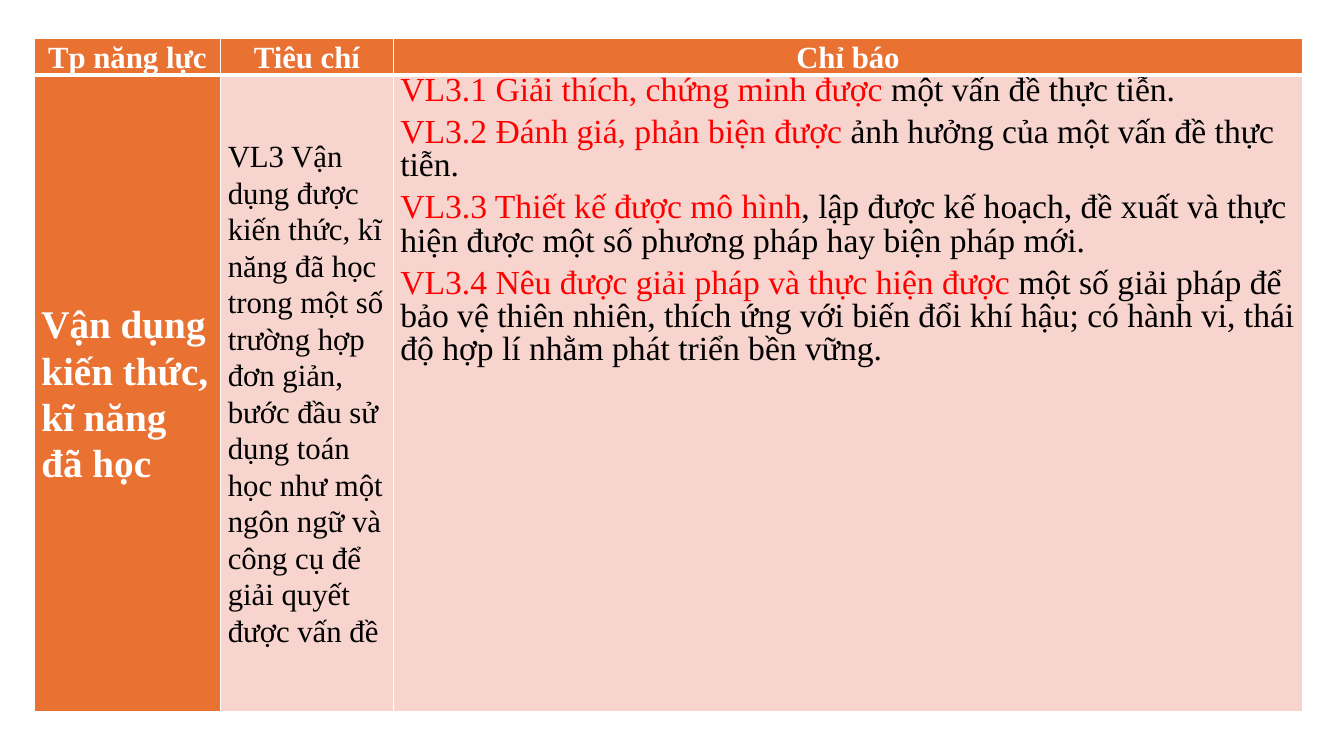
from dataclasses import dataclass

from lxml import etree
from pptx import Presentation
from pptx.dml.color import RGBColor
from pptx.enum.text import MSO_ANCHOR, PP_ALIGN
from pptx.oxml.ns import qn
from pptx.util import Cm, Pt

CENTER, LEFT = PP_ALIGN.CENTER, PP_ALIGN.LEFT
TOP, MIDDLE = MSO_ANCHOR.TOP, MSO_ANCHOR.MIDDLE
BLANK_LAYOUT = 6


@dataclass(frozen=True)
class Theme:
    font: str = "Times New Roman"
    orange: str = "E97132"
    pink: str = "F7D5CE"
    white: str = "FFFFFF"
    black: str = "000000"
    red: str = "FF0000"
    body: int = 22
    indicator: int = 24
    component: int = 28
    thin_line: int = 1
    header_line: int = 3


THEME = Theme()


def add_borders(cell, widths):
    """Draw white cell edges; widths maps an edge tag to points."""
    properties = cell._tc.get_or_add_tcPr()
    for edge, width in widths.items():
        line = etree.SubElement(properties, qn(f"a:{edge}"), w=str(Pt(width)))
        fill = etree.SubElement(line, qn("a:solidFill"))
        etree.SubElement(fill, qn("a:srgbClr"), val=THEME.white)


def fill_cell(cell, paragraphs, fill, size, bold=False, align=LEFT,
              anchor=TOP, line_spacing=1.07, space_after=8):
    """Format a cell; each paragraph is a list of (text, colour) pairs."""
    cell.fill.solid()
    cell.fill.fore_color.rgb = RGBColor.from_string(fill)
    cell_format = {
        "margin_left": Cm(0.18), "margin_right": Cm(0.18),
        "margin_top": 0, "margin_bottom": 0, "vertical_anchor": anchor,
    }
    for name, value in cell_format.items():
        setattr(cell, name, value)
    frame = cell.text_frame
    for index, spans in enumerate(paragraphs):
        para = frame.add_paragraph() if index else frame.paragraphs[0]
        para.alignment = align
        para.line_spacing = line_spacing
        para.space_after = Pt(space_after)
        for text, color in spans:
            span = para.add_run()
            span.text = text
            for name, value in {"name": THEME.font, "size": Pt(size), "bold": bold}.items():
                setattr(span.font, name, value)
            span.font.color.rgb = RGBColor.from_string(color)


deck = Presentation()
deck.slide_width, deck.slide_height = Cm(33.87), Cm(19.05)
page = deck.slides.add_slide(deck.slide_layouts[BLANK_LAYOUT])

column_widths = [4.7, 4.35, 22.92]
row_heights = [0.71, 16.05]
table = page.shapes.add_table(
    len(row_heights), len(column_widths), Cm(0.86), Cm(0.97),
    Cm(sum(column_widths)), Cm(sum(row_heights))).table
for column, width in zip(table.columns, column_widths):
    column.width = Cm(width)
for row, height in zip(table.rows, row_heights):
    row.height = Cm(height)

# The edge between the header and the body is thicker than the others.
for row_index, thick_edge in enumerate(["lnB", "lnT"]):
    for cell in table.rows[row_index].cells:
        add_borders(cell, {
            edge: THEME.header_line if edge == thick_edge else THEME.thin_line
            for edge in ("lnL", "lnR", "lnT", "lnB")})

headings = ["Tp năng lực", "Tiêu chí", "Chỉ báo"]
for cell, heading in zip(table.rows[0].cells, headings):
    fill_cell(cell, [[(heading, THEME.white)]], THEME.orange, THEME.body,
              bold=True, align=CENTER)

component, criterion, indicators = table.rows[1].cells
fill_cell(component, [[("Vận dụng kiến thức, kĩ năng đã học", THEME.white)]],
          THEME.orange, THEME.component, bold=True, anchor=MIDDLE)

criterion_text = (
    "VL3 Vận dụng được kiến thức, kĩ năng đã học trong một số trường hợp "
    "đơn giản, bước đầu sử dụng toán học như một ngôn ngữ và công cụ để "
    "giải quyết được vấn đề")
fill_cell(criterion, [[(criterion_text, THEME.black)]], THEME.pink, THEME.body,
          anchor=MIDDLE)

indicator_texts = [
    ("VL3.1 Giải thích, chứng minh được ", "một vấn đề thực tiễn."),
    ("VL3.2 Đánh giá, phản biện được ", "ảnh hưởng của một vấn đề thực tiễn."),
    ("VL3.3 Thiết kế được mô hình",
     ", lập được kế hoạch, đề xuất và thực hiện được một số phương pháp "
     "hay biện pháp mới."),
    ("VL3.4 Nêu được giải pháp và thực hiện được ",
     "một số giải pháp để bảo vệ thiên nhiên, thích ứng với biến đổi khí hậu; "
     "có hành vi, thái độ hợp lí nhằm phát triển bền vững."),
]
fill_cell(indicators,
          [[(skill, THEME.red), (detail, THEME.black)] for skill, detail in indicator_texts],
          THEME.pink, THEME.indicator, line_spacing=0.9, space_after=6)

deck.save("out.pptx")
